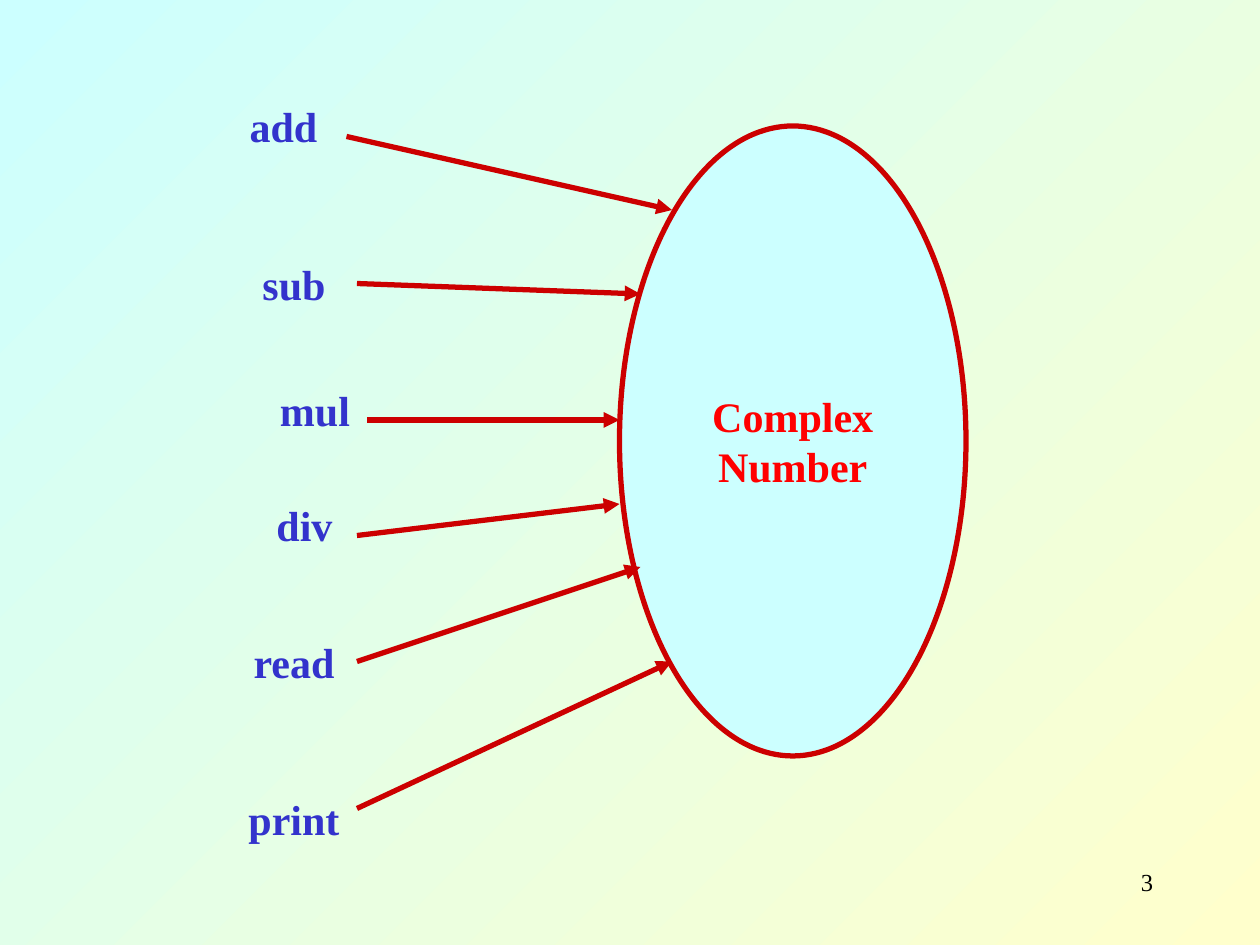
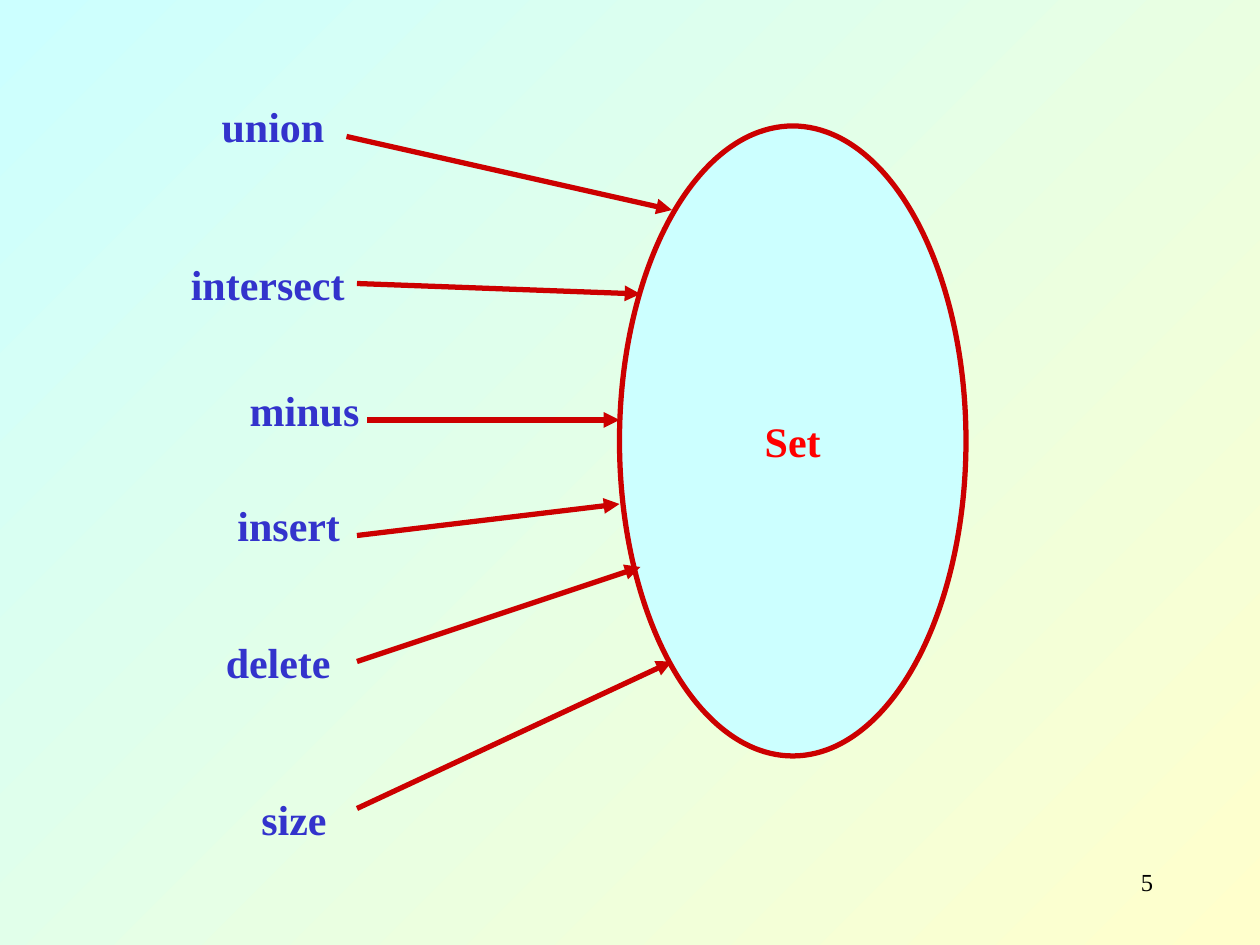
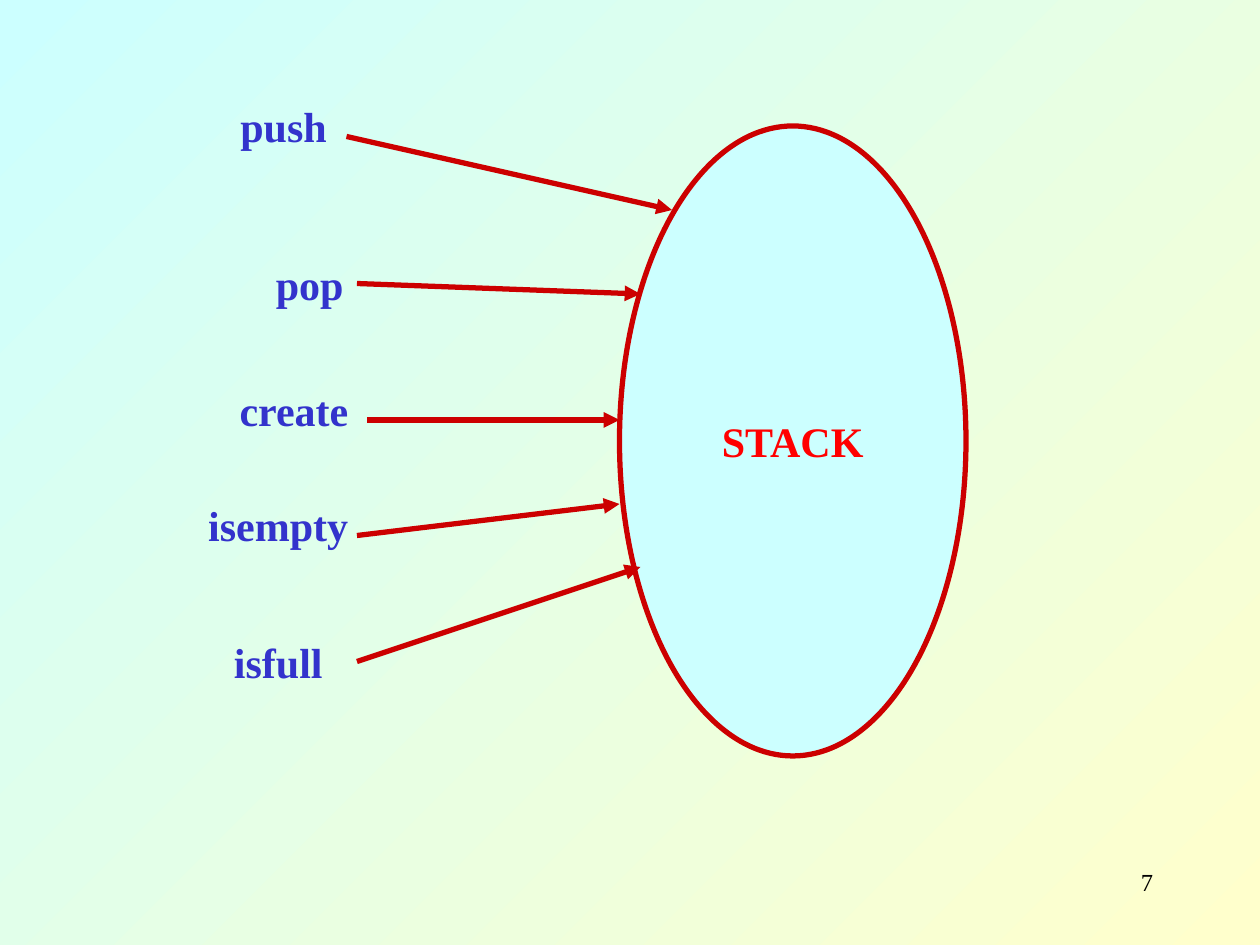
from dataclasses import dataclass
from typing import NamedTuple

from lxml import etree
from pptx import Presentation
from pptx.dml.color import RGBColor
from pptx.enum.shapes import MSO_CONNECTOR, MSO_SHAPE
from pptx.enum.text import MSO_ANCHOR, MSO_AUTO_SIZE, PP_ALIGN
from pptx.oxml.ns import qn
from pptx.presentation import Presentation as Deck
from pptx.slide import Slide
from pptx.text.text import TextFrame
from pptx.util import Emu, Pt

CENTER = PP_ALIGN.CENTER
RIGHT = PP_ALIGN.RIGHT
MIDDLE = MSO_ANCHOR.MIDDLE
FIT_SHAPE = MSO_AUTO_SIZE.SHAPE_TO_FIT_TEXT
OVAL = MSO_SHAPE.OVAL
STRAIGHT = MSO_CONNECTOR.STRAIGHT

PX = 9525
BLANK_LAYOUT = 6


@dataclass(frozen=True)
class Theme:
    font: str = "Times New Roman"
    cream: str = "FFFFCC"
    aqua: str = "CCFFFF"
    outline: str = "CC0000"
    type_name: str = "FF0000"
    operation: str = "3333CC"
    number: str = "000000"
    text_size: int = 24
    number_size: int = 14
    line_width: int = 3
    background_angle: int = 135


class Box(NamedTuple):
    left: int
    top: int
    width: int
    height: int


class Arrow(NamedTuple):
    start_x: int
    start_y: int
    end_x: int
    end_y: int


class Row(NamedTuple):
    label_top: int
    arrow: Arrow


class Operation(NamedTuple):
    name: str
    left: int
    width: int


class DataType(NamedTuple):
    name: str
    page_number: int
    operations: list[Operation]


THEME = Theme()
PAGE_WIDTH, PAGE_HEIGHT = 960, 720
LABEL_HEIGHT = 48
TYPE_BOX = Box(472, 96, 264, 480)
NUMBER_BOX = Box(688, 656, 200, 48)

ROWS = [
    Row(72, Arrow(264, 104, 512, 160)),
    Row(192, Arrow(272, 216, 488, 224)),
    Row(288, Arrow(280, 320, 472, 320)),
    Row(376, Arrow(272, 408, 472, 384)),
    Row(480, Arrow(272, 504, 488, 432)),
    Row(600, Arrow(272, 616, 512, 504)),
]

DATA_TYPES = [
    DataType("Complex\nNumber", 3, [
        Operation("add", 168, 96),
        Operation("sub", 176, 96),
        Operation("mul", 192, 96),
        Operation("div", 184, 96),
        Operation("read", 176, 96),
        Operation("print", 176, 96),
    ]),
    DataType("Set", 5, [
        Operation("union", 144, 128),
        Operation("intersect", 128, 152),
        Operation("minus", 176, 112),
        Operation("insert", 160, 120),
        Operation("delete", 152, 120),
        Operation("size", 176, 96),
    ]),
    DataType("STACK", 7, [
        Operation("push", 152, 128),
        Operation("pop", 160, 152),
        Operation("create", 168, 112),
        Operation("isempty", 144, 136),
        Operation("isfull", 152, 120),
    ]),
]


def to_emu(lengths: tuple[int, ...]) -> list[Emu]:
    return [Emu(length * PX) for length in lengths]


def color(value: str) -> RGBColor:
    return RGBColor.from_string(value)


def write_text(frame: TextFrame, text: str, *, fill: str, size: int = THEME.text_size,
               bold: bool = True, align: PP_ALIGN = CENTER, wrap: bool = True) -> None:
    frame.word_wrap = wrap
    frame.text = text
    for para in frame.paragraphs:
        para.alignment = align
        for span in para.runs:
            span.font.name = THEME.font
            span.font.size = Pt(size)
            span.font.bold = bold
            span.font.color.rgb = color(fill)


def paint_background(deck: Deck) -> None:
    fill = deck.slide_master.background.fill
    fill.gradient()
    fill.gradient_angle = THEME.background_angle
    for stop, value in zip(fill.gradient_stops, (THEME.cream, THEME.aqua)):
        stop.color.rgb = color(value)


def draw_type(page: Slide, name: str) -> None:
    oval = page.shapes.add_shape(OVAL, *to_emu(TYPE_BOX))
    oval.shadow.inherit = False
    oval.fill.solid()
    oval.fill.fore_color.rgb = color(THEME.aqua)
    oval.line.color.rgb = color(THEME.outline)
    oval.line.width = Pt(THEME.line_width)
    oval.text_frame.vertical_anchor = MIDDLE
    write_text(oval.text_frame, name, fill=THEME.type_name, wrap=False)


def draw_arrow(page: Slide, arrow: Arrow) -> None:
    connector = page.shapes.add_connector(STRAIGHT, *to_emu(arrow))
    connector.line.color.rgb = color(THEME.outline)
    connector.line.width = Pt(THEME.line_width)
    properties = connector.element.spPr
    etree.SubElement(properties.find(qn("a:ln")), qn("a:tailEnd"), type="triangle")
    etree.SubElement(properties, qn("a:effectLst"))


def draw_label(page: Slide, operation: Operation, top: int) -> None:
    box = Box(operation.left, top, operation.width, LABEL_HEIGHT)
    frame = page.shapes.add_textbox(*to_emu(box)).text_frame
    frame.auto_size = FIT_SHAPE
    write_text(frame, operation.name, fill=THEME.operation)


def draw_number(page: Slide, number: int) -> None:
    frame = page.shapes.add_textbox(*to_emu(NUMBER_BOX)).text_frame
    write_text(frame, str(number), fill=THEME.number, size=THEME.number_size,
               bold=False, align=RIGHT)


def draw_page(deck: Deck, data_type: DataType) -> None:
    page = deck.slides.add_slide(deck.slide_layouts[BLANK_LAYOUT])
    draw_type(page, data_type.name)
    for operation, row in zip(data_type.operations, ROWS):
        draw_arrow(page, row.arrow)
        draw_label(page, operation, row.label_top)
    draw_number(page, data_type.page_number)


def main() -> None:
    deck = Presentation()
    deck.slide_width, deck.slide_height = to_emu((PAGE_WIDTH, PAGE_HEIGHT))
    paint_background(deck)
    for data_type in DATA_TYPES:
        draw_page(deck, data_type)
    deck.save("out.pptx")


if __name__ == "__main__":
    main()
